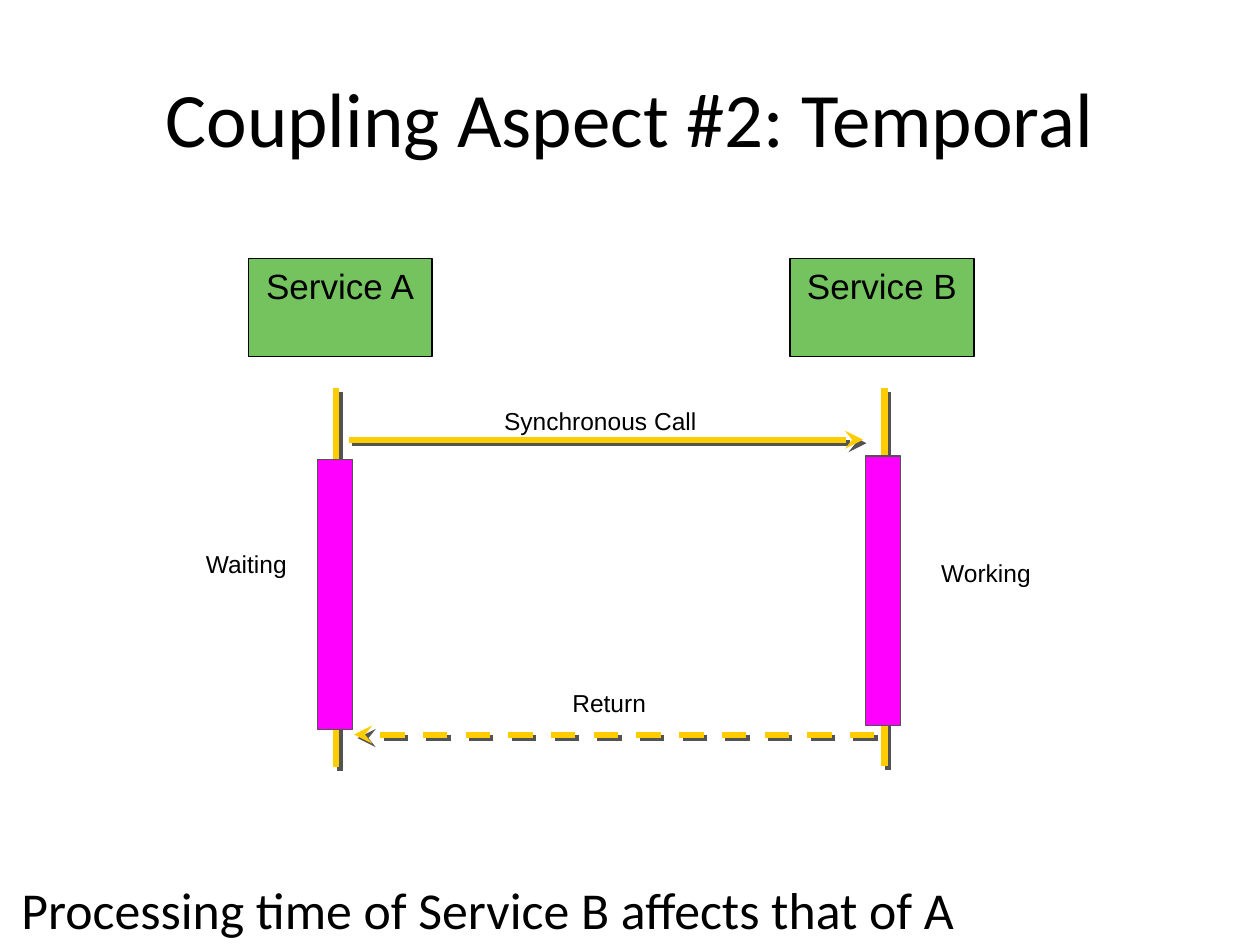
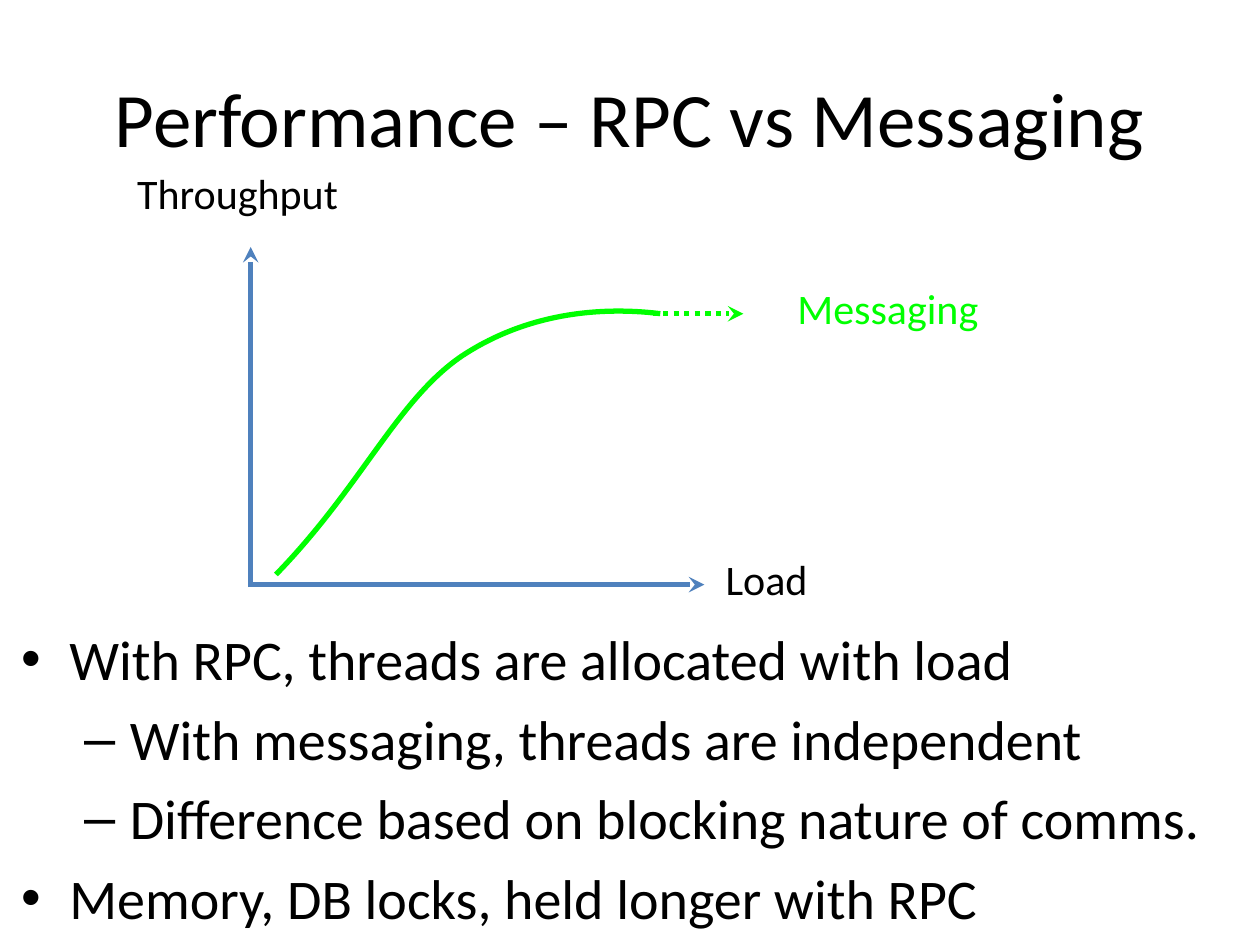
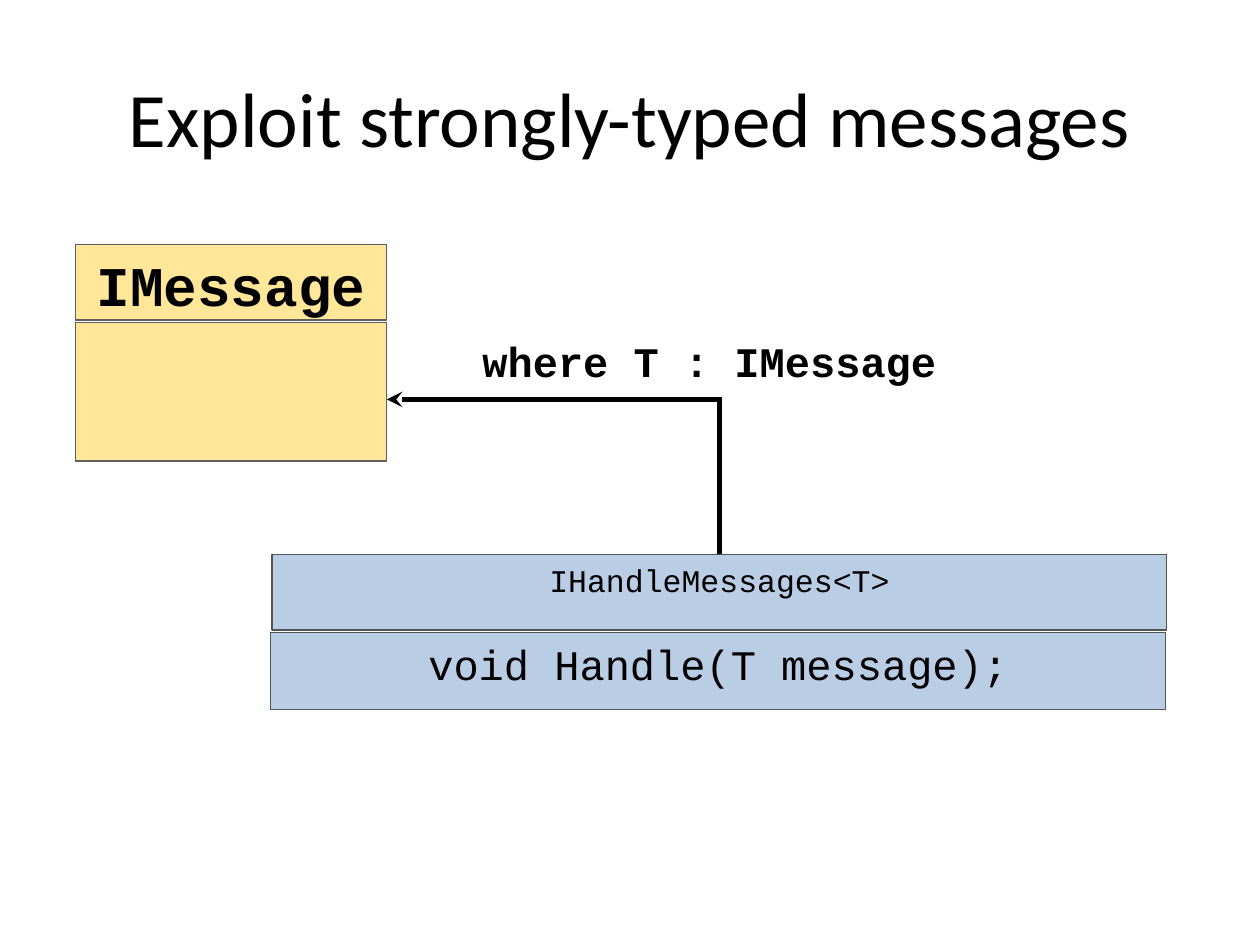
from dataclasses import dataclass

from lxml import etree
from pptx import Presentation
from pptx import util as u
from pptx.dml.color import RGBColor
from pptx.enum import dml, shapes, text
from pptx.oxml import ns

PX = u.Inches(1) // 100


@dataclass(frozen=True)
class Theme:
    heading_font: str = "Calibri"
    label_font: str = "Arial"
    code_font: str = "Courier New"
    ink: str = "000000"
    edge: str = "535353"
    interface_edge: str = "5F5F5F"
    service: str = "74C35F"
    activity: str = "FF00FF"
    message: str = "FFCC00"
    axis: str = "4F81BD"
    messaging: str = "00FF00"
    interface: str = "FFE699"
    handler: str = "B9CDE5"
    title_size: float = 44
    body_size: float = 32
    summary_size: float = 29.6
    large_size: float = 24
    service_size: float = 20
    code_size: float = 18
    small_size: float = 14
    hairline: float = 0.75
    stroke: float = 3
    message_stroke: float = 3.5


def add_element(parent, tag, **attributes):
    return etree.SubElement(parent, ns.qn(tag), {k: str(v) for k, v in attributes.items()})


def emu(*lengths):
    return [length * PX for length in lengths]


class Deck:
    def __init__(self, theme):
        self.theme = theme
        self.presentation = Presentation()
        self.presentation.slide_width, self.presentation.slide_height = emu(1000, 750)
        self.slide = None

    def new_slide(self, title):
        self.slide = self.presentation.slides.add_slide(self.presentation.slide_layouts[6])
        self.text(50, 10, 900, 165, title, self.theme.title_size, align="CENTER",
                  anchor="MIDDLE", inset=5)

    def style(self, paragraph, size, font, color=None, bold=False, align="LEFT"):
        paragraph.alignment = text.PP_ALIGN[align]
        paragraph.font.size = u.Pt(size)
        paragraph.font.name = font
        paragraph.font.bold = bold
        paragraph.font.color.rgb = RGBColor.from_string(color or self.theme.ink)

    def text(self, left, top, width, height, words, size, font=None, color=None,
             bold=False, align="LEFT", anchor="TOP", inset=10):
        box = self.slide.shapes.add_textbox(*emu(left, top, width, height))
        frame = box.text_frame
        frame.word_wrap = True
        frame.vertical_anchor = text.MSO_ANCHOR[anchor]
        frame.margin_left = frame.margin_right = inset * PX
        frame.text = words
        self.style(frame.paragraphs[0], size, font or self.theme.heading_font, color, bold, align)
        return box

    def bullets(self, left, top, width, height, items):
        box = self.text(left, top, width, height, "", self.theme.body_size, inset=5)
        frame = box.text_frame
        for index, (level, words) in enumerate(items):
            paragraph = frame.add_paragraph() if index else frame.paragraphs[0]
            paragraph.text = words
            paragraph.level = level
            paragraph.space_before = u.Pt(7 if index else 0)
            margin, hanging, mark = ((38, 38, "•"), (86, 36, "–"))[level]
            properties = paragraph._p.get_or_add_pPr()
            properties.set("marL", str(margin * PX))
            properties.set("indent", str(-hanging * PX))
            for old in properties.findall(ns.qn("a:defRPr")):
                properties.remove(old)
            add_element(properties, "a:buFont", typeface=self.theme.label_font)
            add_element(properties, "a:buChar", char=mark)
            self.style(paragraph, self.theme.body_size, self.theme.heading_font)

    def box(self, left, top, width, height, fill, edge, words="", size=18, font=None, bold=False):
        shape = self.slide.shapes.add_shape(
            shapes.MSO_SHAPE.RECTANGLE, *emu(left, top, width, height))
        shape.shadow.inherit = False
        shape.fill.solid()
        shape.fill.fore_color.rgb = RGBColor.from_string(fill)
        self.stroke(shape.line, edge, self.theme.hairline)
        if words:
            shape.text_frame.vertical_anchor = text.MSO_ANCHOR.TOP
            shape.text_frame.text = words
            self.style(shape.text_frame.paragraphs[0], size, font, bold=bold, align="CENTER")
        return shape

    def stroke(self, line, color, width):
        line.color.rgb = RGBColor.from_string(color)
        line.width = u.Pt(width)

    def line(self, start, end, color, width=None, arrow=False, dash=None, shadow=False):
        connector = self.slide.shapes.add_connector(
            shapes.MSO_CONNECTOR.STRAIGHT, *emu(*start, *end))
        self.stroke(connector.line, color, width or self.theme.stroke)
        if dash:
            connector.line.dash_style = dml.MSO_LINE[dash]
        properties = connector._element.spPr
        if arrow:
            add_element(properties.find(ns.qn("a:ln")), "a:tailEnd", type="stealth")
        effects = add_element(properties, "a:effectLst")
        if shadow:
            cast = add_element(effects, "a:outerShdw", blurRad=0, dist=u.Pt(2.8),
                               dir=45 * 60000, algn="ctr", rotWithShape=0)
            add_element(cast, "a:srgbClr", val=self.theme.edge)
        return connector

    def curve(self, start, controls, color):
        builder = self.slide.shapes.build_freeform(*emu(*start))
        builder.add_line_segments([emu(*point) for point in controls], close=False)
        shape = builder.convert_to_shape()
        shape.shadow.inherit = False
        shape.fill.background()
        self.stroke(shape.line, color, self.theme.stroke)
        segments = list(shape._element.iter(ns.qn("a:lnTo")))
        for first in range(0, len(segments), 3):
            bezier = add_element(segments[first].getparent(), "a:cubicBezTo")
            for segment in segments[first:first + 3]:
                bezier.append(segment[0])
                segment.getparent().remove(segment)


def temporal_coupling(deck):
    theme = deck.theme
    deck.new_slide("Coupling Aspect #2: Temporal")
    deck.text(12, 692, 988, 58, "Processing time of Service B affects that of A",
              theme.summary_size, inset=5)

    message = dict(color=theme.message, width=theme.message_stroke, shadow=True)
    for x, bottom in ((267, 609), (702, 608)):
        deck.line((x, 308), (x, bottom), **message)
    for left, top in ((687, 362), (252, 365)):
        deck.box(left, top, 28, 214, theme.activity, theme.edge)
    for left, name in ((197, "Service A"), (627, "Service B")):
        deck.box(left, 205, 146, 78, theme.service, theme.ink, name,
                 theme.service_size, theme.label_font)
    deck.line((277, 349), (685, 349), arrow=True, **message)
    deck.line((694, 583), (281, 583), arrow=True, dash="DASH", **message)
    for left, top, width, label in ((373, 317, 207, "Synchronous Call"), (140, 431, 111, "Waiting"),
                                    (727, 438, 111, "Working"), (428, 541, 111, "Return")):
        deck.text(left, top, width, 33, label, theme.small_size, theme.label_font, align="CENTER")


def performance(deck):
    theme = deck.theme
    deck.new_slide("Performance – RPC vs Messaging")
    deck.bullets(12, 491, 975, 236, (
        (0, "With RPC, threads are allocated with load"),
        (1, "With messaging, threads are independent"),
        (1, "Difference based on blocking nature of comms."),
        (0, "Memory, DB locks, held longer with RPC"),
    ))
    deck.line((199, 466), (199, 196), theme.axis, arrow=True)
    deck.line((199, 464), (559, 464), theme.axis, arrow=True)
    deck.curve((219, 456), ((287, 386), (315, 318), (366, 283),
                            (417, 249), (475, 243), (524, 249)), theme.messaging)
    deck.line((518, 249), (590, 249), theme.messaging, arrow=True, dash="ROUND_DOT")
    for left, top, width, label, color in ((99, 128, 185, "Throughput", theme.ink),
                                           (566, 434, 91, "Load", theme.ink),
                                           (623, 219, 175, "Messaging", theme.messaging)):
        deck.text(left, top, width, 50, label, theme.large_size, color=color)


def typed_messages(deck):
    theme = deck.theme
    deck.new_slide("Exploit strongly-typed messages")
    deck.box(60, 194, 247, 60, theme.interface, theme.interface_edge, "IMessage",
             theme.body_size, theme.code_font, bold=True)
    deck.box(60, 256, 247, 110, theme.interface, theme.interface_edge)
    constraint = deck.text(373, 266, 395, 46, "where T : IMessage", theme.large_size,
                           theme.code_font, bold=True)
    constraint.text_frame.paragraphs[0].line_spacing = 0.9
    riser = deck.line((571, 440), (571, 315), theme.ink)
    deck.line((571, 317), (307, 317), theme.ink, arrow=True)
    handler = deck.box(216, 440, 710, 60, theme.handler, theme.edge, "IHandleMessages<T>",
                       theme.code_size, theme.code_font)
    riser.begin_connect(handler, 0)
    deck.box(215, 502, 710, 61, theme.handler, theme.edge, "void Handle(T message);",
             theme.large_size, theme.code_font)


def main():
    deck = Deck(Theme())
    temporal_coupling(deck)
    performance(deck)
    typed_messages(deck)
    deck.presentation.save("out.pptx")


if __name__ == "__main__":
    main()
